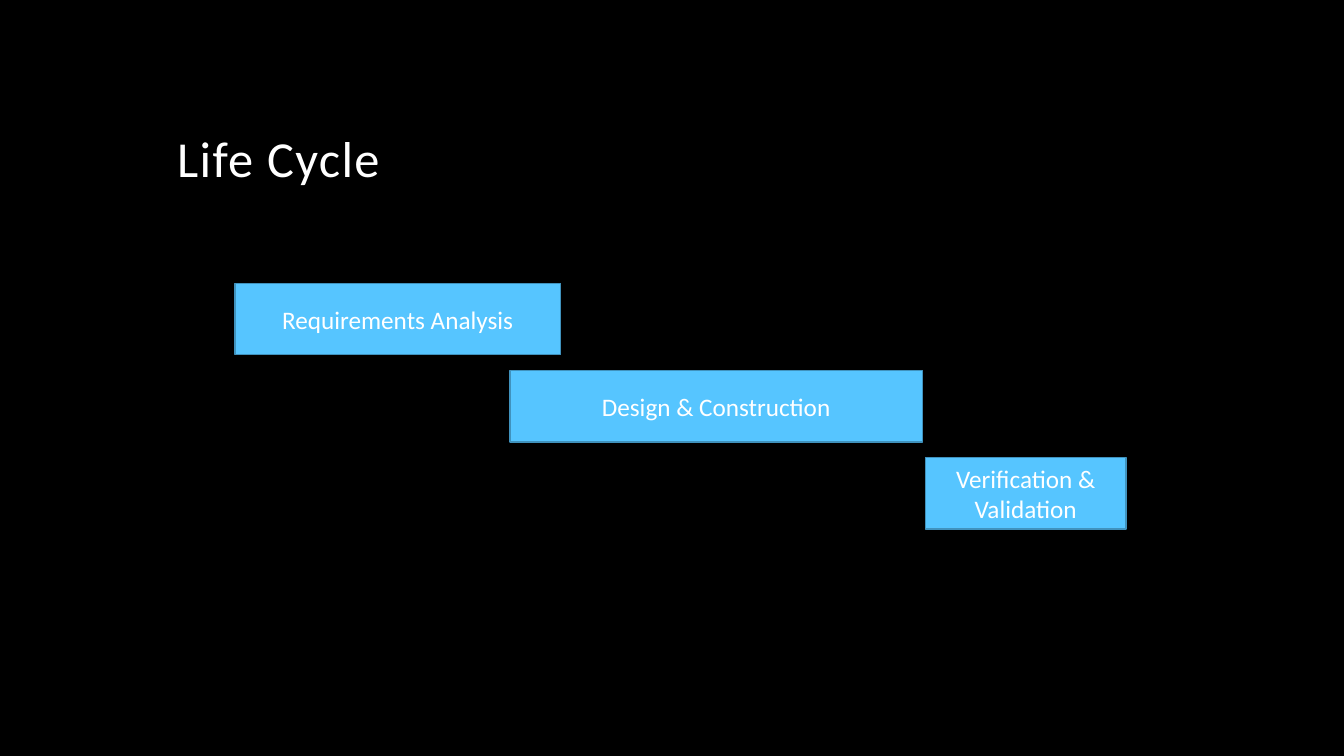
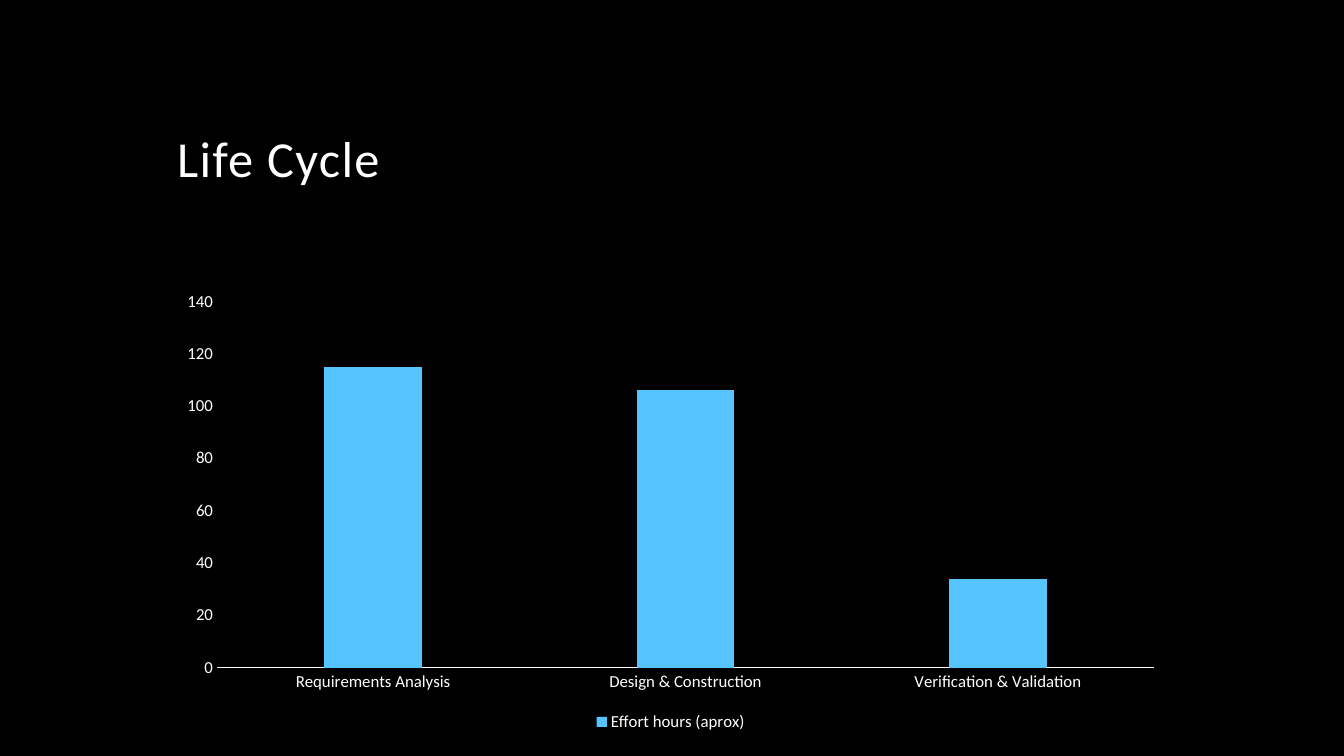
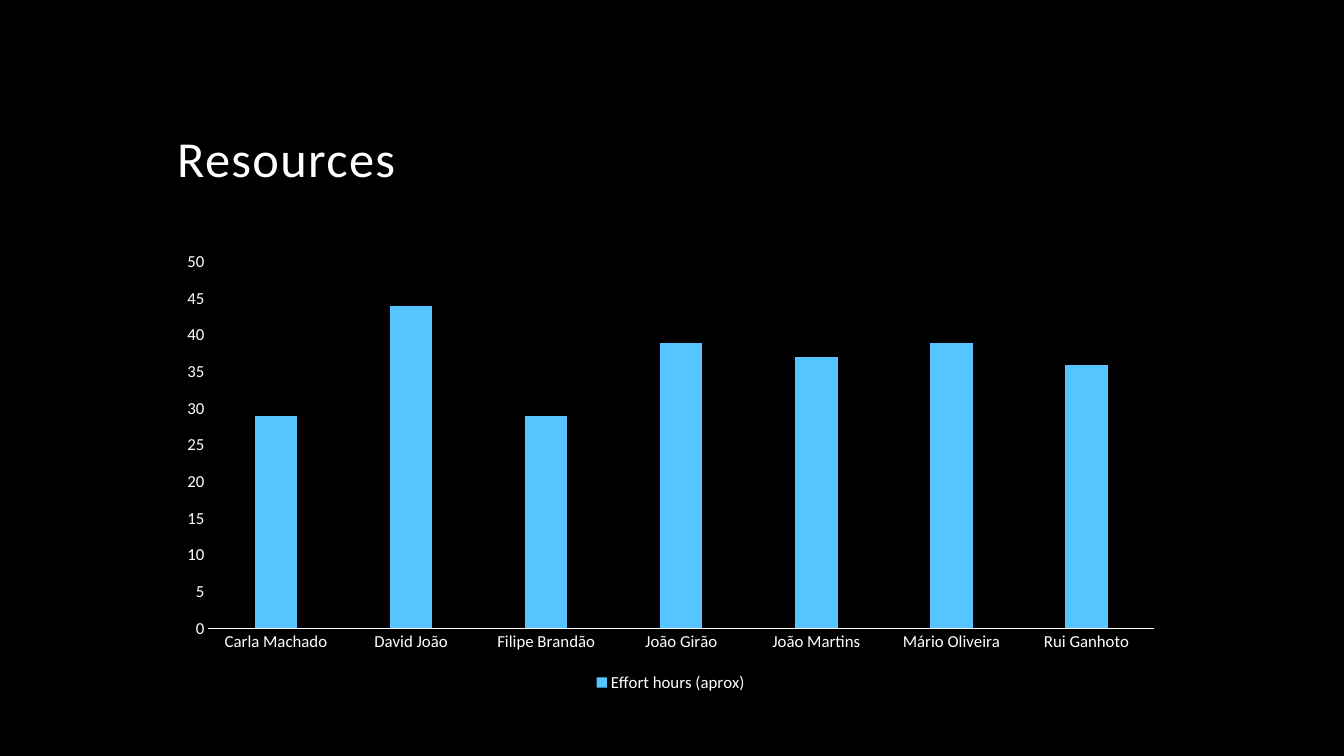
from dataclasses import dataclass

import pptx
import pptx.chart.data
import pptx.dml.color
import pptx.enum.chart
import pptx.enum.shapes
import pptx.enum.text
import pptx.slide
import pptx.util

Pt = pptx.util.Pt
RGBColor = pptx.dml.color.RGBColor

# Shared style
BLACK = RGBColor(0x00, 0x00, 0x00)
WHITE = RGBColor(0xFF, 0xFF, 0xFF)
SKY = RGBColor(0x56, 0xC5, 0xFF)
SKY_EDGE = RGBColor(0x40, 0x92, 0xBD)
FONT = "Calibri"
CONTENT_LEFT = 119.5

# Phase bars descend in equal steps
PHASE_TOP = 202.3
PHASE_STEP = 62.3
PHASE_HEIGHT = 51.1


@dataclass(frozen=True)
class Phase:
    name: str
    left: float
    width: float
    hours: int


@dataclass(frozen=True)
class EffortChart:
    title: str
    top: float
    hours: dict[str, int]


PHASES = [
    Phase("Requirements Analysis", 167.8, 232.6, 115),
    Phase("Design & Construction", 364.3, 294.5, 106),
    Phase("Verification & Validation", 661, 143.3, 34),
]

EFFORT_CHARTS = [
    EffortChart("Life Cycle", 201.6, {phase.name: phase.hours for phase in PHASES}),
    EffortChart("Resources", 173.5, {
        "Carla Machado": 29,
        "David João": 44,
        "Filipe Brandão": 29,
        "João Girão": 39,
        "João Martins": 37,
        "Mário Oliveira": 39,
        "Rui Ganhoto": 36,
    }),
]


def style_font(font: pptx.text.text.Font, size: float) -> None:
    font.name = FONT
    font.size = Pt(size)
    font.color.rgb = WHITE


def add_titled_slide(presentation: pptx.presentation.Presentation,
                     title: str) -> pptx.slide.Slide:
    slide = presentation.slides.add_slide(presentation.slide_layouts[6])
    text_box = slide.shapes.add_textbox(Pt(CONTENT_LEFT), Pt(30.2), Pt(720), Pt(108))
    text_frame = text_box.text_frame
    text_frame.word_wrap = True
    text_frame.vertical_anchor = pptx.enum.text.MSO_ANCHOR.BOTTOM
    paragraph = text_frame.paragraphs[0]
    paragraph.text = title
    paragraph.line_spacing = 0.9
    style_font(paragraph.font, 36)
    # Letter spacing of one point, in hundredths
    paragraph.runs[0]._r.get_or_add_rPr().set("spc", "100")
    return slide


def add_phase(slide: pptx.slide.Slide, phase: Phase, row: int) -> None:
    shape = slide.shapes.add_shape(
        pptx.enum.shapes.MSO_SHAPE.RECTANGLE, Pt(phase.left),
        Pt(PHASE_TOP + row * PHASE_STEP), Pt(phase.width), Pt(PHASE_HEIGHT))
    shape.shadow.inherit = False
    shape.fill.solid()
    shape.fill.fore_color.rgb = SKY
    shape.line.color.rgb = SKY_EDGE
    shape.line.width = Pt(1)
    text_frame = shape.text_frame
    text_frame.word_wrap = True
    text_frame.vertical_anchor = pptx.enum.text.MSO_ANCHOR.MIDDLE
    paragraph = text_frame.paragraphs[0]
    paragraph.text = phase.name
    paragraph.alignment = pptx.enum.text.PP_ALIGN.CENTER
    style_font(paragraph.font, 18)


def add_effort_chart(slide: pptx.slide.Slide, effort: EffortChart) -> None:
    data = pptx.chart.data.CategoryChartData()
    data.categories = list(effort.hours)
    data.add_series("Effort hours (aprox)", list(effort.hours.values()))
    chart = slide.shapes.add_chart(
        pptx.enum.chart.XL_CHART_TYPE.COLUMN_CLUSTERED, Pt(CONTENT_LEFT),
        Pt(effort.top), Pt(719.3), Pt(324), data).chart
    chart.has_title = False
    style_font(chart.font, 10)

    # Columns
    plot = chart.plots[0]
    plot.vary_by_categories = False
    plot.gap_width = 219
    plot.overlap = -27
    column_fill = plot.series[0].format.fill
    column_fill.solid()
    column_fill.fore_color.rgb = SKY

    # Axes
    for axis in (chart.category_axis, chart.value_axis):
        axis.has_major_gridlines = False
        axis.major_tick_mark = pptx.enum.chart.XL_TICK_MARK.NONE
        axis.minor_tick_mark = pptx.enum.chart.XL_TICK_MARK.NONE
        style_font(axis.tick_labels.font, 12)
    chart.category_axis.format.line.color.rgb = WHITE
    chart.category_axis.format.line.width = Pt(0.75)
    chart.value_axis.format.line.fill.background()

    # Legend
    chart.has_legend = True
    chart.legend.position = pptx.enum.chart.XL_LEGEND_POSITION.BOTTOM
    chart.legend.include_in_layout = False
    style_font(chart.legend.font, 12)


def main() -> None:
    presentation = pptx.Presentation()
    presentation.slide_width = Pt(960)
    presentation.slide_height = Pt(540)
    background = presentation.slide_master.background.fill
    background.solid()
    background.fore_color.rgb = BLACK

    # Phases over time
    slide = add_titled_slide(presentation, "Life Cycle")
    for row, phase in enumerate(PHASES):
        add_phase(slide, phase, row)

    # Effort by phase and by person
    for effort in EFFORT_CHARTS:
        add_effort_chart(add_titled_slide(presentation, effort.title), effort)

    presentation.save("out.pptx")


main()
